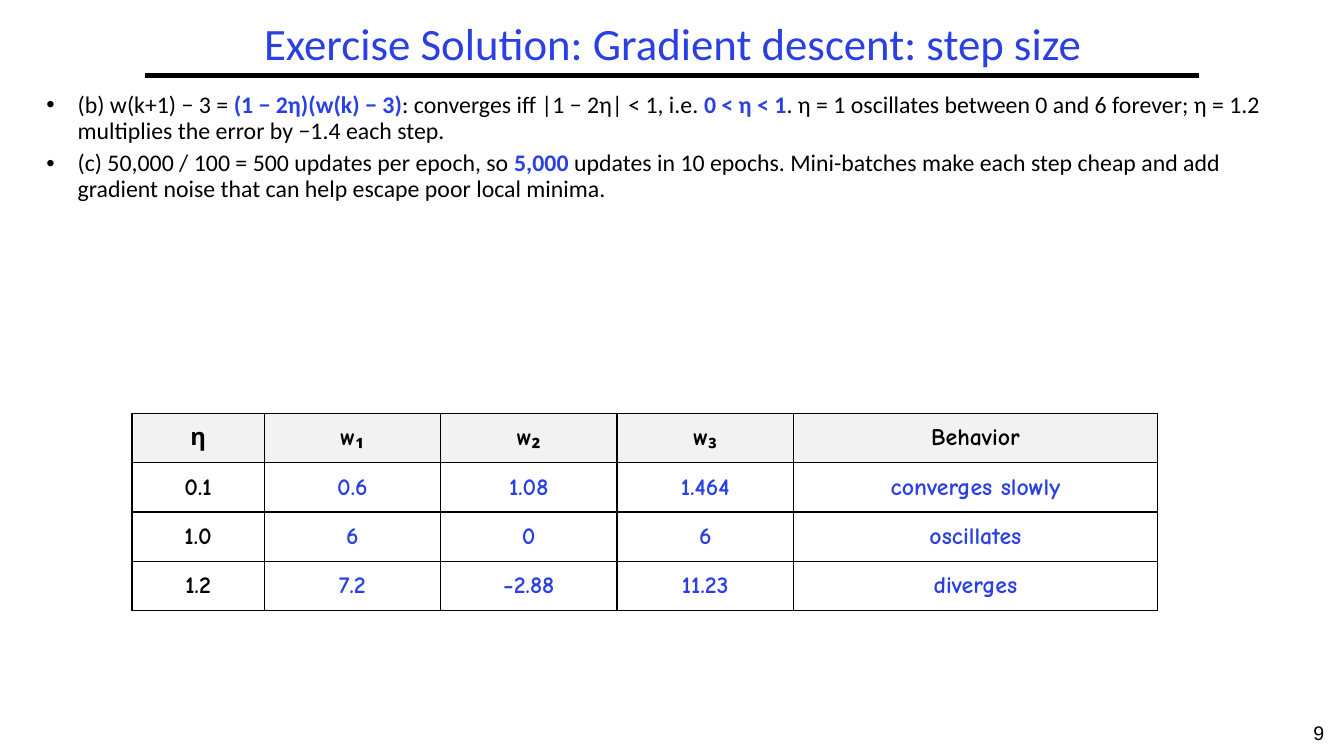
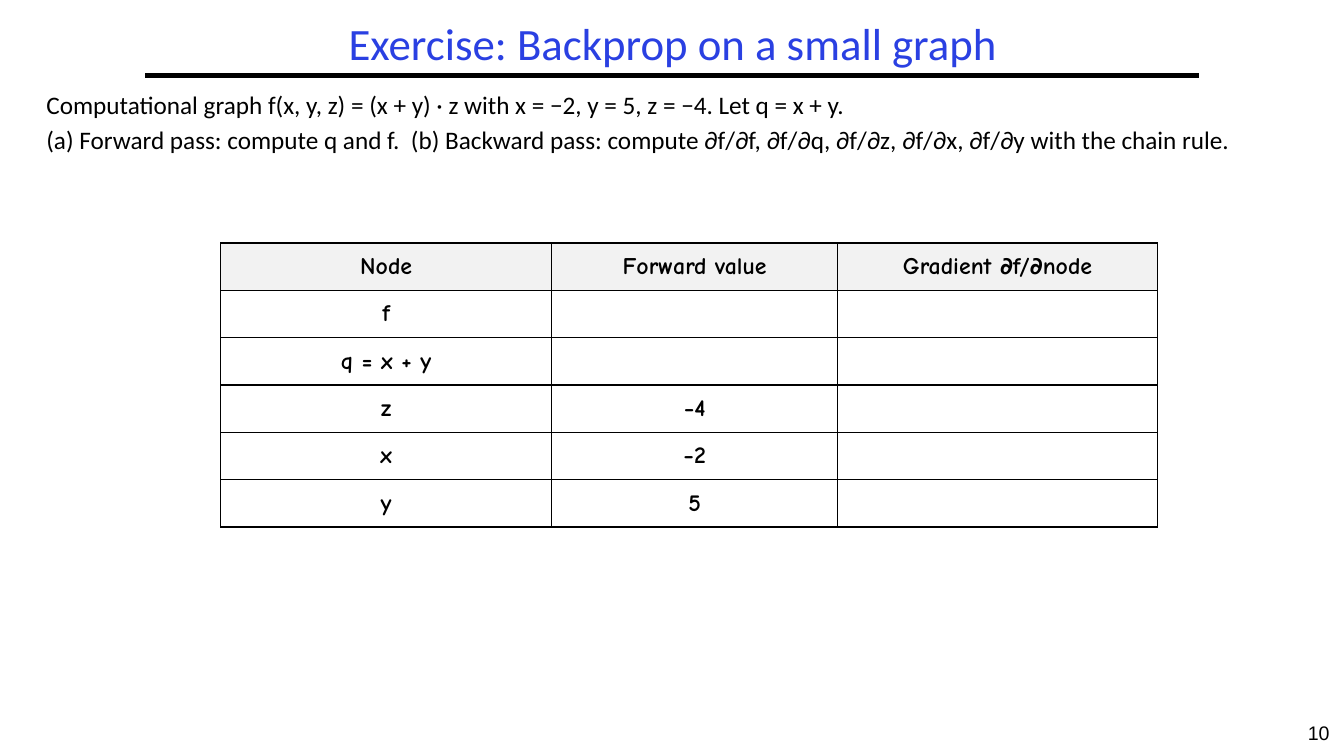
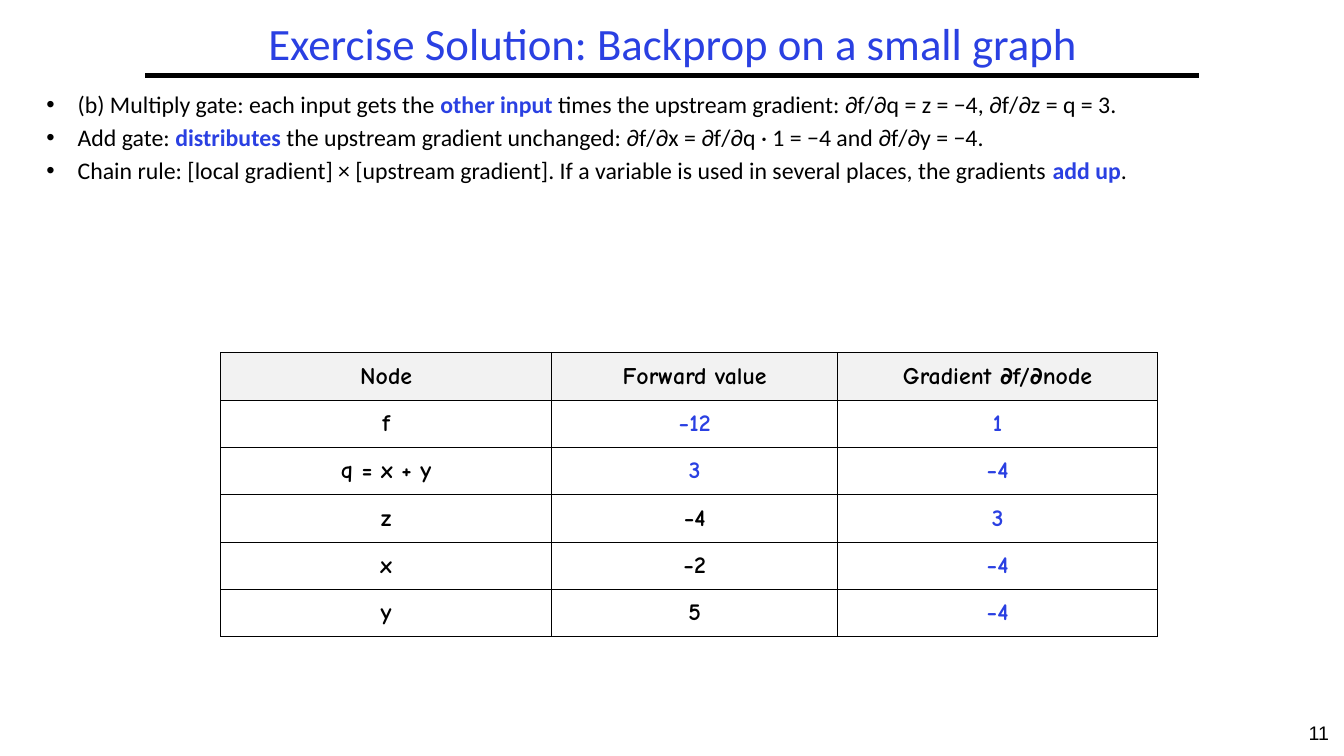
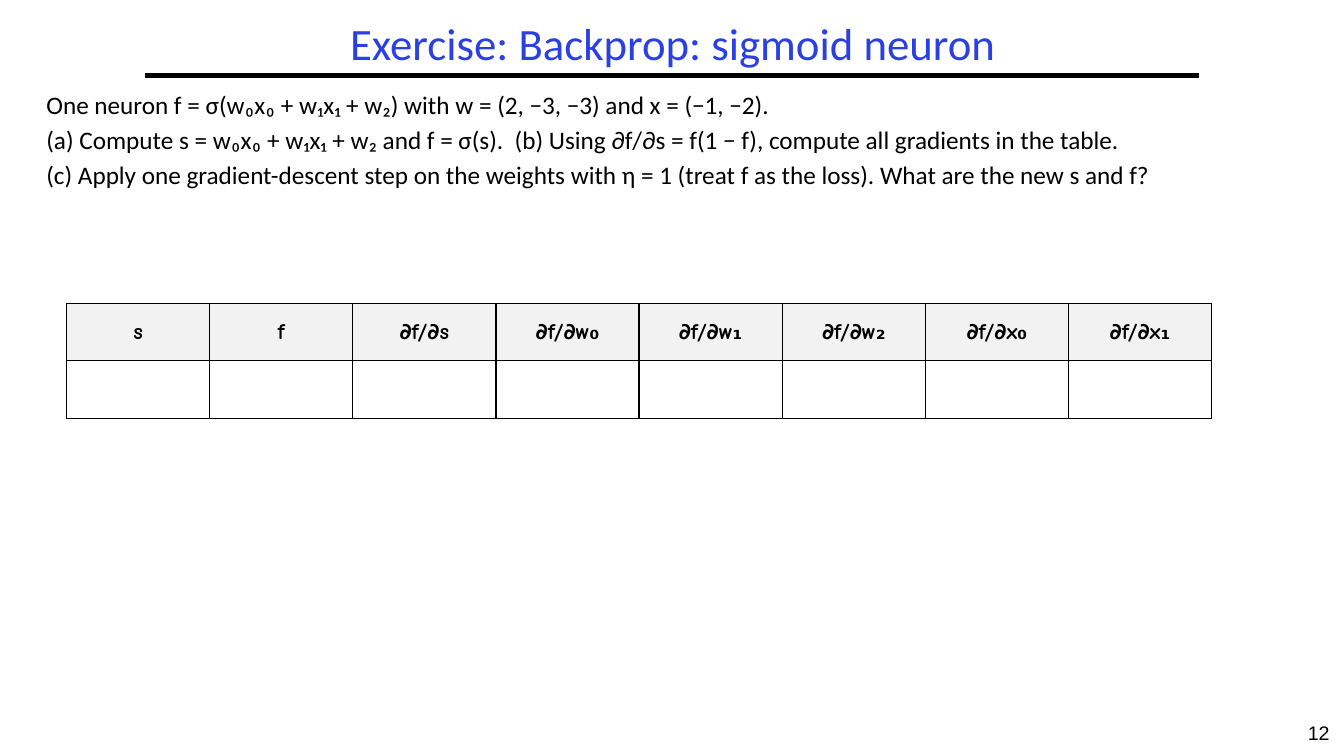
from lxml import etree
from pptx import Presentation
from pptx import util as u
from pptx.dml.color import RGBColor
from pptx.enum import shapes, text
from pptx.oxml import parse_xml
from pptx.oxml.ns import nsdecls, qn

PX = 9144  # 100 px to the inch
BLUE, BLACK, GREY = "2A40E2", "000000", "F2F2F2"
CENTER = text.PP_ALIGN.CENTER


def color(value):
    return RGBColor.from_string(value)


def write(paragraph, content, *, size, font="Calibri", fill=BLACK, bold=False, align=None):
    """Fill a paragraph; parts between asterisks are bold and blue."""
    paragraph.alignment = align
    for index, part in enumerate(content.split("*")):
        marked = index % 2 == 1
        run = paragraph.add_run()
        run.text = part
        run.font.name = font
        run.font.size = u.Pt(size)
        run.font.bold = bold or marked
        run.font.color.rgb = color(BLUE if marked else fill)


# Slide contents; an asterisk pair marks an answer
node_header = ["Node", "Forward value", "Gradient ∂f/∂node"]
node_columns = [328, 284, 317]
pages = [
    dict(
        title="Exercise Solution: Gradient descent: step size",
        bullets=True, body_height=306,
        body=[
            "(b) w(k+1) − 3 = *(1 − 2η)(w(k) − 3)*: converges iff |1 − 2η| < 1, i.e. *0 < η < 1*. "
            "η = 1 oscillates between 0 and 6 forever; η = 1.2 multiplies the error by −1.4 each step.",
            "(c) 50,000 / 100 = 500 updates per epoch, so *5,000* updates in 10 epochs. Mini-batches "
            "make each step cheap and add gradient noise that can help escape poor local minima.",
        ],
        left=131, top=410, columns=[131, 175, 175, 175, 361], row_height=49, table_size=17,
        rows=[
            ["η", "w₁", "w₂", "w₃", "Behavior"],
            ["0.1", "*0.6*", "*1.08*", "*1.464*", "*converges slowly*"],
            ["1.0", "*6*", "*0*", "*6*", "*oscillates*"],
            ["1.2", "*7.2*", "*−2.88*", "*11.23*", "*diverges*"],
        ],
    ),
    dict(
        title="Exercise: Backprop on a small graph",
        bullets=False, body_height=153,
        body=[
            "Computational graph f(x, y, z) = (x + y) · z with x = −2, y = 5, z = −4. Let q = x + y.",
            "(a) Forward pass: compute q and f.  (b) Backward pass: compute "
            "∂f/∂f, ∂f/∂q, ∂f/∂z, ∂f/∂x, ∂f/∂y with the chain rule.",
        ],
        left=219, top=241, columns=node_columns, row_height=47, table_size=17,
        rows=[
            node_header,
            ["f", "", ""],
            ["q = x + y", "", ""],
            ["z", "−4", ""],
            ["x", "−2", ""],
            ["y", "5", ""],
        ],
    ),
    dict(
        title="Exercise Solution: Backprop on a small graph",
        bullets=True, body_height=252,
        body=[
            "(b) Multiply gate: each input gets the *other input* times the upstream gradient: "
            "∂f/∂q = z = −4, ∂f/∂z = q = 3.",
            "Add gate: *distributes* the upstream gradient unchanged: "
            "∂f/∂x = ∂f/∂q · 1 = −4 and ∂f/∂y = −4.",
            "Chain rule: [local gradient] × [upstream gradient]. If a variable is used in several "
            "places, the gradients *add up*.",
        ],
        left=219, top=350, columns=node_columns, row_height=47, table_size=17,
        rows=[
            node_header,
            ["f", "*−12*", "*1*"],
            ["q = x + y", "*3*", "*−4*"],
            ["z", "−4", "*3*"],
            ["x", "−2", "*−4*"],
            ["y", "5", "*−4*"],
        ],
    ),
    dict(
        title="Exercise: Backprop: sigmoid neuron",
        bullets=False, body_height=208,
        body=[
            "One neuron f = σ(w₀x₀ + w₁x₁ + w₂) with w = (2, −3, −3) and x = (−1, −2).",
            "(a) Compute s = w₀x₀ + w₁x₁ + w₂ and f = σ(s).  "
            "(b) Using ∂f/∂s = f(1 − f), compute all gradients in the table.",
            "(c) Apply one gradient-descent step on the weights with η = 1 (treat f as the loss). "
            "What are the new s and f?",
        ],
        left=66, top=301, columns=[142] * 8, row_height=57, table_size=16,
        rows=[
            ["s", "f", "∂f/∂s", "∂f/∂w₀", "∂f/∂w₁", "∂f/∂w₂", "∂f/∂x₀", "∂f/∂x₁"],
            [""] * 8,
        ],
    ),
]

presentation = Presentation()
presentation.slide_width, presentation.slide_height = 1333 * PX, 750 * PX
layout = presentation.slide_layouts[1]

# Shared title place
title_frame = layout.placeholders[0]
title_frame.left, title_frame.top = 144 * PX, 17 * PX
title_frame.width, title_frame.height = 1047 * PX, 58 * PX

for number, page in enumerate(pages, start=9):
    slide = presentation.slides.add_slide(layout)

    # Rule under the title, drawn once and kept on the layout
    if number == 9:
        rule = slide.shapes.add_connector(
            shapes.MSO_CONNECTOR.STRAIGHT, 144 * PX, 75 * PX, 1189 * PX, 75 * PX)
        rule.line.color.rgb = color(BLACK)
        rule.line.width = u.Pt(3)
        etree.SubElement(rule._element.spPr, qn("a:effectLst"))
        layout.shapes._spTree.append(rule._element)

    # Title
    title = slide.shapes.title.text_frame
    title.auto_size = text.MSO_AUTO_SIZE.NONE
    title.vertical_anchor = text.MSO_ANCHOR.MIDDLE
    title.paragraphs[0].line_spacing = 0.9
    write(title.paragraphs[0], page["title"], size=32, fill=BLUE, align=CENTER)

    # Body list
    body = slide.placeholders[1]
    body.left, body.top = 36 * PX, 87 * PX
    body.width, body.height = 1258 * PX, page["body_height"] * PX
    frame = body.text_frame
    frame.auto_size = text.MSO_AUTO_SIZE.NONE
    size = 17 if page["bullets"] else 18
    for index, line in enumerate(page["body"]):
        paragraph = frame.add_paragraph() if index else frame.paragraphs[0]
        properties = paragraph._p.get_or_add_pPr()
        indent = 31 * PX if page["bullets"] else 0
        properties.set("marL", str(indent))
        properties.set("indent", str(-indent))
        if not page["bullets"]:
            etree.SubElement(properties, qn("a:buNone"))
        paragraph.line_spacing = 0.9
        paragraph.space_before = u.Pt(0.3 * size if index else 0)
        write(paragraph, line, size=size)

    # Table
    columns, rows = page["columns"], page["rows"]
    table = slide.shapes.add_table(
        len(rows), len(columns), page["left"] * PX, page["top"] * PX,
        sum(columns) * PX, len(rows) * page["row_height"] * PX).table
    table.first_row = table.horz_banding = False
    for column, width in zip(table.columns, columns):
        column.width = width * PX
    for row_index, row in enumerate(rows):
        table.rows[row_index].height = page["row_height"] * PX
        for column_index, value in enumerate(row):
            cell = table.cell(row_index, column_index)
            cell.vertical_anchor = text.MSO_ANCHOR.MIDDLE
            cell.margin_left = cell.margin_right = 7 * PX
            cell.margin_top = cell.margin_bottom = 3 * PX
            cell_properties = cell._tc.get_or_add_tcPr()
            for side in ("lnL", "lnR", "lnT", "lnB"):
                cell_properties.append(parse_xml(
                    f'<a:{side} {nsdecls("a")} w="12700"><a:solidFill>'
                    f'<a:srgbClr val="{BLACK}"/></a:solidFill></a:{side}>'))
            if row_index == 0:
                cell.fill.solid()
                cell.fill.fore_color.rgb = color(GREY)
            else:
                cell.fill.background()
            if value:
                write(cell.text_frame.paragraphs[0], value, size=page["table_size"],
                      font="Comic Neue", bold=True, align=CENTER)

    # Page number
    page_number = slide.shapes.add_textbox(1283 * PX, 710 * PX, 50 * PX, 40 * PX).text_frame
    page_number.word_wrap = True
    write(page_number.paragraphs[0], str(number), size=14, font="Arial", align=CENTER)

presentation.save("out.pptx")
